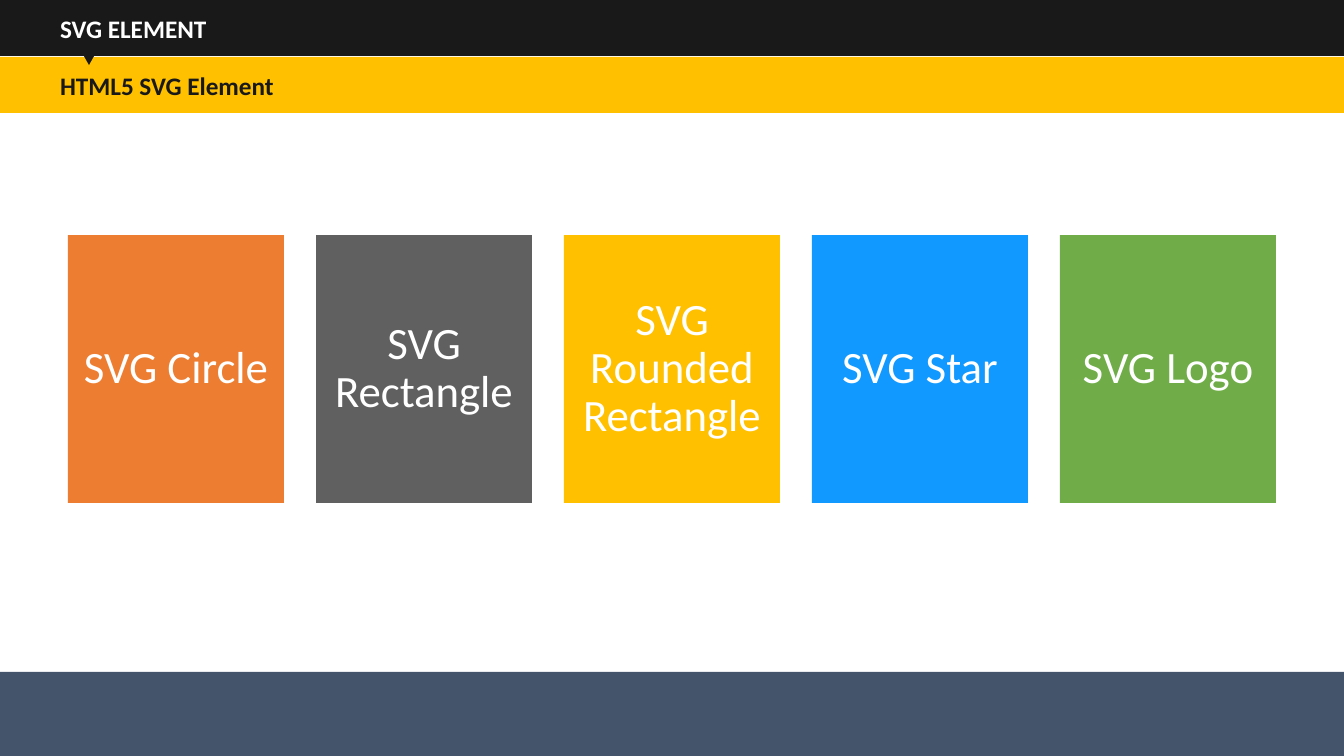
from pptx import Presentation
from pptx.dml.color import RGBColor
from pptx.enum import shapes, text
from pptx.util import Pt

PX = 914400 / 100.8
HEX = {
    "white": "FFFFFF", "black": "191919", "yellow": "FFC000", "slate": "44546A",
    "orange": "ED7D31", "gray": "606060", "blue": "1199FF", "green": "70AD48",
}
KIND = shapes.MSO_SHAPE

deck = Presentation()
deck.slide_width, deck.slide_height = round(1344 * PX), round(756 * PX)
slide = deck.slides.add_slide(deck.slide_layouts[5])


def block(box, kind, color):
    left, top, width, height = [round(n * PX) for n in box]
    shape = slide.shapes.add_shape(kind, left, top, width, height)
    shape.shadow.inherit = False
    shape.fill.solid()
    shape.fill.fore_color.rgb = RGBColor.from_string(HEX[color])
    shape.line.fill.background()
    return shape


def write(shape, words, size, color, bold, align, inset):
    frame = shape.text_frame
    frame.word_wrap = True
    frame.auto_size = text.MSO_AUTO_SIZE.NONE
    frame.vertical_anchor = text.MSO_ANCHOR.MIDDLE
    frame.margin_left = round(inset * PX)
    para = frame.paragraphs[0]
    para.alignment = align
    run = para.add_run()
    run.text = words
    run.font.name = "Calibri"
    run.font.size = Pt(size)
    run.font.bold = bold
    run.font.color.rgb = RGBColor.from_string(HEX[color])
    return para


block((0, 672, 1344, 84), KIND.RECTANGLE, "slate")

cards = [
    ("SVG Circle", "orange"),
    ("SVG Rectangle", "gray"),
    ("SVG Rounded Rectangle", "yellow"),
    ("SVG Star", "blue"),
    ("SVG Logo", "green"),
]
for i, (name, color) in enumerate(cards):
    card = block((68 + 248 * i, 235, 216, 268), KIND.RECTANGLE, color)
    para = write(card, name, 32, "white", False, text.PP_ALIGN.CENTER, 10)
    para.line_spacing = 0.9

title = slide.shapes.title
title.left, title.top = 0, 0
title.width, title.height = round(1344 * PX), round(56 * PX)
title.fill.solid()
title.fill.fore_color.rgb = RGBColor.from_string(HEX["black"])
write(title, "SVG ELEMENT", 18, "white", True, text.PP_ALIGN.LEFT, 60)

band = block((0, 57, 1344, 56), KIND.RECTANGLE, "yellow")
write(band, "HTML5 SVG Element", 18, "black", True, text.PP_ALIGN.LEFT, 60)

notch = block((80, 49, 18, 16), KIND.ISOSCELES_TRIANGLE, "black")
notch.rotation = 180

deck.save("out.pptx")
